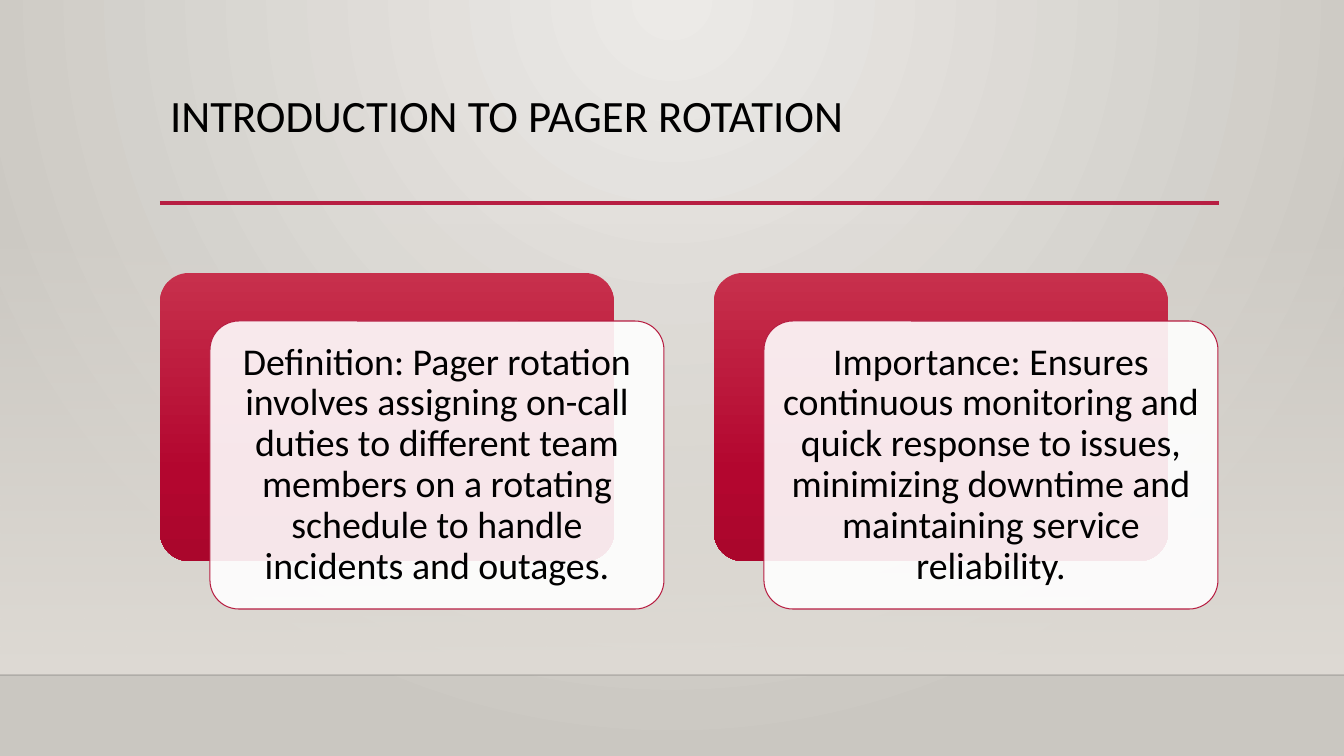
from lxml import etree
from pptx import Presentation
from pptx.dml.color import RGBColor
from pptx.enum.shapes import MSO_CONNECTOR as Connector, MSO_SHAPE as Shape
from pptx.enum.text import MSO_ANCHOR as Anchor, PP_ALIGN as Align
from pptx.oxml import parse_xml
from pptx.oxml.ns import nsdecls, qn
from pptx.util import Emu, Pt

EMU_PER_PX = 914400 / 100.8
FONT = "Calibri"
COLOURS = {
    "text": "000000",
    "accent": "B71E42",
    "panel": "FFFFFF",
    "floor_line": "000001",
    "glow": "ECEAE7",
    "edge": "CAC7C1",
    "wall": "DFDBD5",
    "card_top": "C7304C",
    "card_middle": "B3062F",
    "card_bottom": "AA062C",
}
DOWNWARD = '<a:lin ang="5400000" scaled="0"/>'
FROM_TOP = '<a:path path="circle"><a:fillToRect l="43000" t="0" r="43000" b="100000"/></a:path>'
CARD_STOPS = [(0, "card_top", 100), (69, "card_middle", 100), (100, "card_bottom", 100)]


def px(length):
    return Emu(round(length * EMU_PER_PX))


def colour(name):
    return RGBColor.from_string(COLOURS[name])


def set_all(target, values):
    for name, value in values.items():
        setattr(target, name, value)


class SlideBuilder:
    def __init__(self, presentation):
        self.slide = presentation.slides.add_slide(presentation.slide_layouts[5])
        self.shapes = self.slide.shapes

    def gradient(self, owner, fill, stops, direction):
        """Swap the owner's empty fill for a gradient of (position, colour, opacity) stops."""
        fill.background()
        empty = owner.find(".//" + qn("a:noFill"))
        stop_xml = "".join(
            f'<a:gs pos="{position * 1000}"><a:srgbClr val="{COLOURS[name]}">'
            f'<a:alpha val="{opacity * 1000}"/></a:srgbClr></a:gs>'
            for position, name, opacity in stops
        )
        empty.getparent().replace(empty, parse_xml(
            f'<a:gradFill {nsdecls("a")} rotWithShape="1"><a:gsLst>{stop_xml}</a:gsLst>'
            f"{direction}</a:gradFill>"
        ))

    def opacity(self, element, percent):
        for solid in element.iter(qn("a:srgbClr")):
            etree.SubElement(solid, qn("a:alpha"), val=str(percent * 1000))

    def background(self, stops):
        self.gradient(self.slide.element, self.slide.background.fill, stops, FROM_TOP)

    def box(self, kind, left, top, width, height):
        shape = self.shapes.add_shape(kind, px(left), px(top), px(width), px(height))
        shape.shadow.inherit = False
        shape.line.fill.background()
        if kind == Shape.ROUNDED_RECTANGLE:
            shape.adjustments[0] = 0.1
        return shape

    def gradient_box(self, kind, bounds, stops):
        shape = self.box(kind, *bounds)
        self.gradient(shape.element, shape.fill, stops, DOWNWARD)

    def rule(self, left, right, y, name, points, opacity=100):
        line = self.shapes.add_connector(Connector.STRAIGHT, px(left), px(y), px(right), px(y))
        line.line.width = Pt(points)
        line.line.color.rgb = colour(name)
        properties = line.element.spPr
        self.opacity(properties, opacity)
        etree.SubElement(properties, qn("a:effectLst"))

    def label(self, shape, text, size, frame_format, align):
        frame = shape.text_frame
        set_all(frame, {"word_wrap": True, **frame_format})
        paragraph = frame.paragraphs[0]
        set_all(paragraph, {"alignment": align, "line_spacing": 0.9})
        run = paragraph.add_run()
        run.text = text
        set_all(run.font, {"name": FONT, "size": Pt(size)})
        run.font.color.rgb = colour("text")

    def title(self, text, left, top, width, height):
        title = self.shapes.title
        set_all(title, {"left": px(left), "top": px(top), "width": px(width), "height": px(height)})
        self.label(title, text, 32, {"vertical_anchor": Anchor.TOP}, Align.LEFT)

    def card(self, left, top, text):
        width, height = 454, 288
        self.gradient_box(Shape.ROUNDED_RECTANGLE, (left, top, width, height), CARD_STOPS)
        panel = self.box(Shape.ROUNDED_RECTANGLE, left + 50, top + 48, width, height)
        panel.fill.solid()
        panel.fill.fore_color.rgb = colour("panel")
        self.opacity(panel.element.spPr, 90)
        panel.line.color.rgb = colour("accent")
        panel.line.width = Pt(0.75)
        margins = {f"margin_{side}": px(10) for side in ("left", "top", "right", "bottom")}
        self.label(panel, text, 27, {"vertical_anchor": Anchor.MIDDLE, **margins}, Align.CENTER)


def main():
    presentation = Presentation()
    set_all(presentation, {"slide_width": px(1344), "slide_height": px(756)})
    builder = SlideBuilder(presentation)

    # Backdrop: glow from the top, wall fading in, floor line
    builder.background([(0, "glow", 100), (100, "edge", 100)])
    builder.gradient_box(
        Shape.RECTANGLE, (0, 223, 1344, 452), [(0, "wall", 0), (100, "wall", 100)]
    )
    builder.rule(0, 1344, 675, "floor_line", 1, opacity=20)

    # Title and its rule
    builder.title("INTRODUCTION TO PAGER ROTATION", 160, 89, 1058, 116)
    builder.rule(160, 1219, 203, "accent", 2.5)

    # Cards
    cards = [
        "Definition: Pager rotation involves assigning on-call duties to different team "
        "members on a rotating schedule to handle incidents and outages.",
        "Importance: Ensures continuous monitoring and quick response to issues, "
        "minimizing downtime and maintaining service reliability.",
    ]
    for index, text in enumerate(cards):
        builder.card(160 + index * 554, 273, text)

    presentation.save("out.pptx")


if __name__ == "__main__":
    main()
